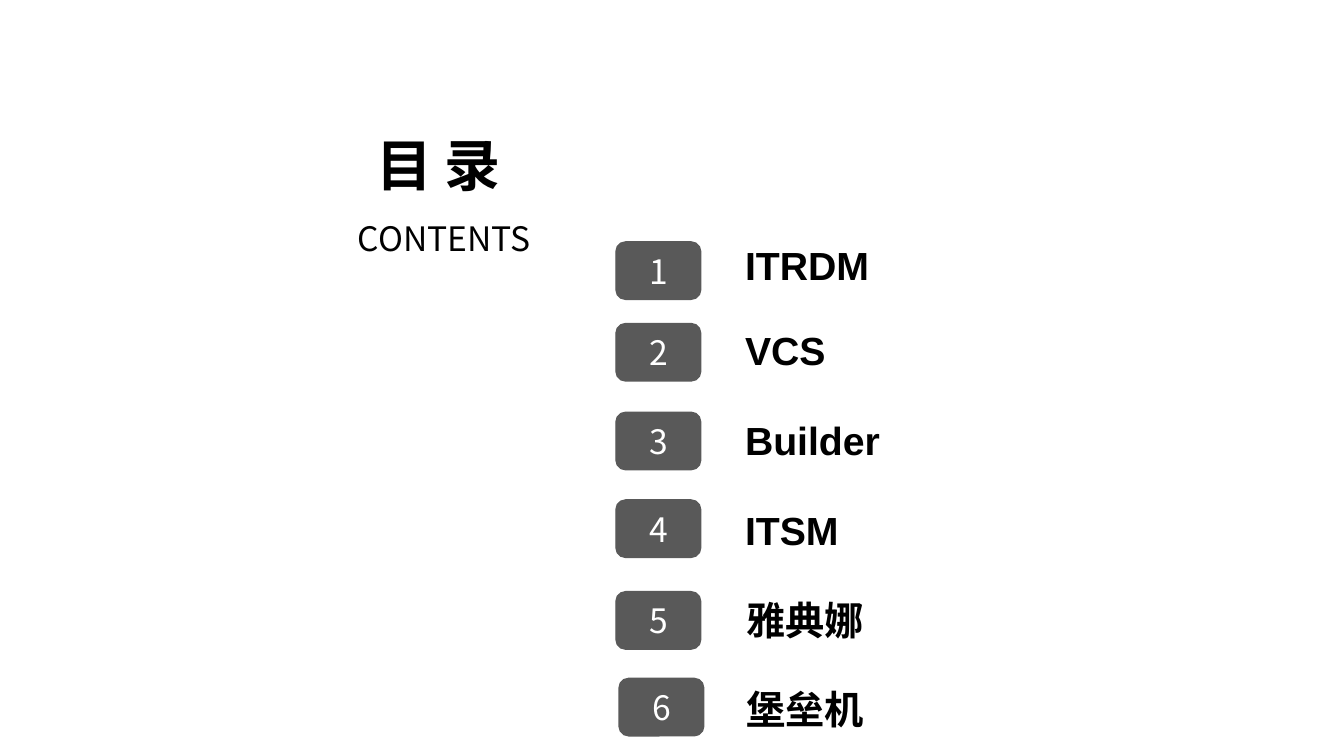
from dataclasses import dataclass

from lxml.etree import SubElement
from pptx import Presentation
from pptx.dml.color import RGBColor
from pptx.enum.shapes import MSO_SHAPE
from pptx.enum.text import MSO_ANCHOR, PP_ALIGN
from pptx.oxml.ns import qn
from pptx.util import Inches, Pt

COLORS = {"badge": "595959", "number": "FFFFFF", "text": "000000"}
CJK_FONT = "Noto Sans CJK SC"
BADGE_WIDTH, BADGE_HEIGHT = 0.84, 0.57
LABEL_WIDTH, LABEL_HEIGHT = 2.79, 0.61


@dataclass
class Entry:
    label: str
    badge_left: float
    badge_top: float
    label_left: float
    label_top: float


ENTRIES = [
    Entry("ITRDM", 6.11, 2.40, 7.26, 2.32),
    Entry("VCS", 6.11, 3.21, 7.26, 3.17),
    Entry("Builder", 6.11, 4.09, 7.26, 4.06),
    Entry("ITSM", 6.11, 4.96, 7.26, 4.95),
    Entry("雅典娜", 6.11, 5.87, 7.27, 5.85),
    Entry("堡垒机", 6.14, 6.73, 7.27, 6.73),
]


def write_text(shape, text: str, size: int, font: str = CJK_FONT,
               color: str = "text", bold: bool = False, wrap: bool = True,
               align=PP_ALIGN.LEFT, anchor=MSO_ANCHOR.TOP,
               inset: tuple[float, float] = (0.13, 0.07)) -> None:
    frame = shape.text_frame
    frame.text = text
    frame.word_wrap = wrap
    frame.vertical_anchor = anchor
    frame.margin_left = frame.margin_right = Inches(inset[0])
    frame.margin_top = frame.margin_bottom = Inches(inset[1])
    paragraph = frame.paragraphs[0]
    paragraph.alignment = align
    paragraph.font.size = Pt(size)
    paragraph.font.bold = bold
    paragraph.font.name = font
    paragraph.font.color.rgb = RGBColor.from_string(COLORS[color])
    # Chinese characters take their own typeface
    properties = paragraph.runs[0].font._element
    SubElement(properties, qn("a:ea"), typeface=CJK_FONT)


def add_label(slide, text: str, left: float, top: float, width: float,
              height: float, size: int, **style) -> None:
    box = slide.shapes.add_textbox(
        Inches(left), Inches(top), Inches(width), Inches(height))
    write_text(box, text, size, **style)


def add_badge(slide, number: int, left: float, top: float) -> None:
    badge = slide.shapes.add_shape(
        MSO_SHAPE.ROUNDED_RECTANGLE, Inches(left), Inches(top),
        Inches(BADGE_WIDTH), Inches(BADGE_HEIGHT))
    badge.shadow.inherit = False
    gray = RGBColor.from_string(COLORS["badge"])
    badge.fill.solid()
    badge.fill.fore_color.rgb = gray
    badge.line.color.rgb = gray
    badge.line.width = Pt(1)
    write_text(badge, str(number), 24, color="number", align=PP_ALIGN.CENTER,
               anchor=MSO_ANCHOR.MIDDLE, inset=(0.06, 0.06))


def main() -> None:
    presentation = Presentation()
    presentation.slide_width = Inches(13.33)
    presentation.slide_height = Inches(7.48)
    slide = presentation.slides.add_slide(presentation.slide_layouts[5])

    # Heading
    title = slide.shapes.title
    title.left, title.top = Inches(3.6), Inches(1.22)
    title.width, title.height = Inches(1.56), Inches(0.81)
    write_text(title, "目 录", 40, bold=True, wrap=False)
    add_label(slide, "CONTENTS", 3.42, 2.09, 2.08, 0.54, 24, wrap=False)

    # Numbered entries
    for number, entry in enumerate(ENTRIES, start=1):
        add_badge(slide, number, entry.badge_left, entry.badge_top)
        add_label(slide, entry.label, entry.label_left, entry.label_top,
                  LABEL_WIDTH, LABEL_HEIGHT, 28, font="Arial", bold=True)

    presentation.save("out.pptx")


if __name__ == "__main__":
    main()
